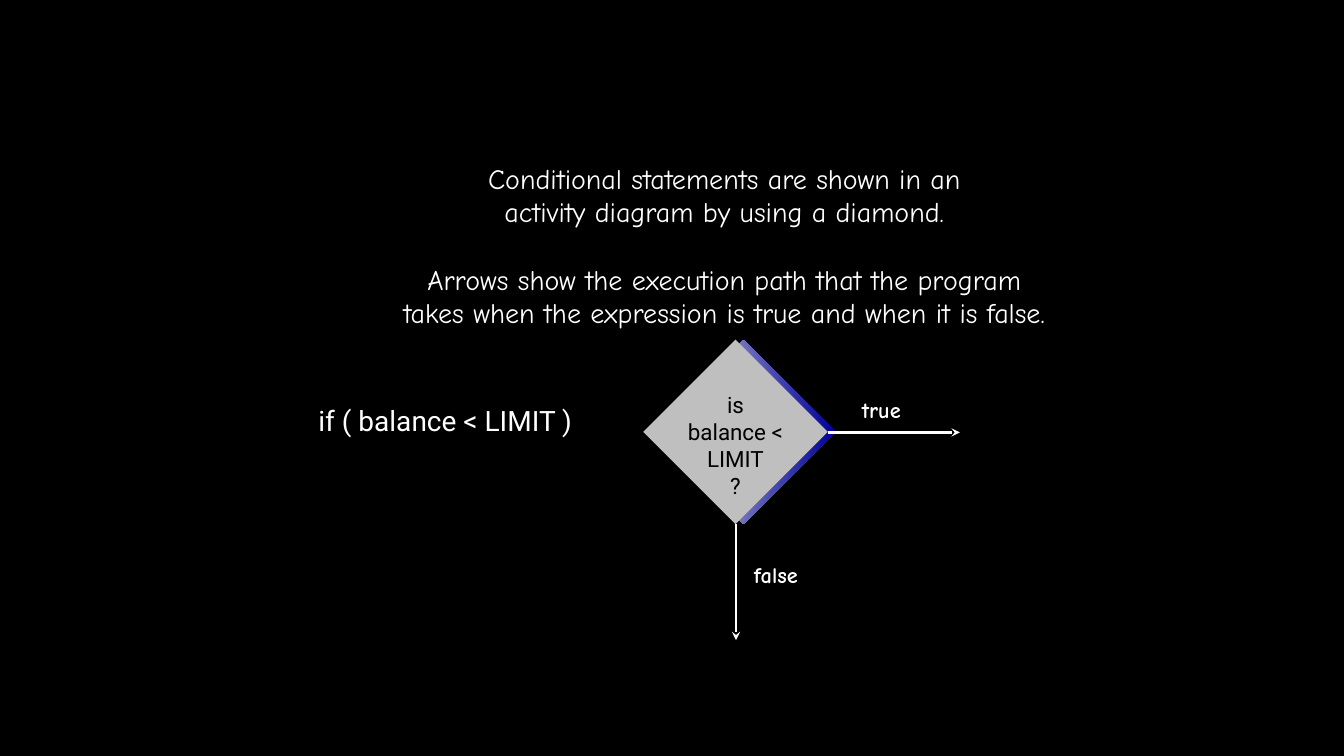
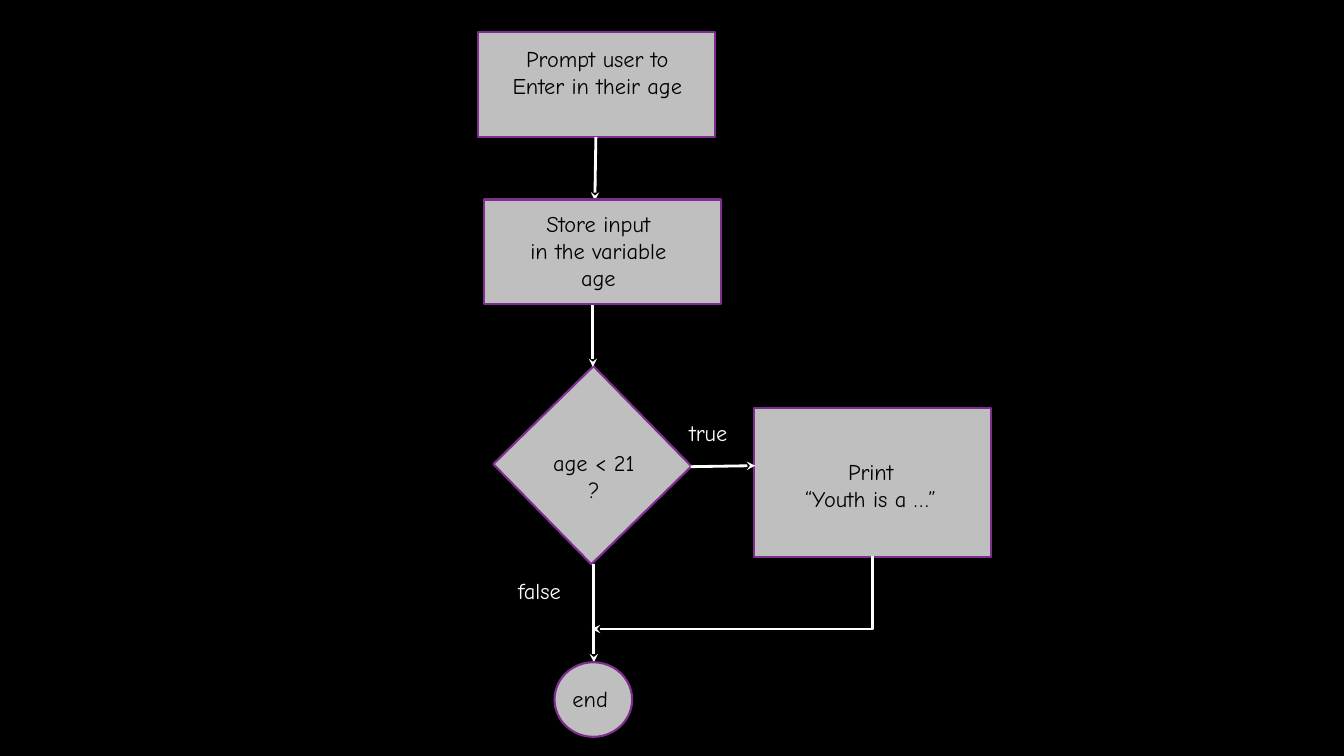
from lxml.etree import SubElement
from pptx import Presentation
from pptx.dml.color import RGBColor
from pptx.enum.shapes import MSO_CONNECTOR as Link, MSO_SHAPE as Preset
from pptx.enum.text import MSO_ANCHOR as Anchor, MSO_AUTO_SIZE as Fit, PP_ALIGN as Align
from pptx.oxml.ns import qn
from pptx.util import Pt

PX = 9144  # 100 px to the inch


def px(*lengths):
    return [length * PX for length in lengths]


def color(value):
    return RGBColor.from_string(value)


class FlowDeck:
    BLACK, WHITE, GRAY, PURPLE = "000000", "FFFFFF", "BFBFBF", "7F2E8F"
    SHADE = ("DDDDDD", "000099")
    HAND, PLAIN = "Comic Neue", "Roboto"

    def __init__(self, width, height):
        self.deck = Presentation()
        self.deck.slide_width, self.deck.slide_height = px(width, height)
        self.page = None

    def add_page(self):
        self.page = self.deck.slides.add_slide(self.deck.slide_layouts[6])
        fill = self.page.background.fill
        fill.solid()
        fill.fore_color.rgb = color(self.BLACK)

    def set_lines(self, frame, lines, size=16, font=HAND, ink=WHITE, bold=False,
                  align=Align.CENTER, gap_before=None):
        """Fill a frame; gap_before is the index of a line set one line lower."""
        frame.word_wrap = False
        for index, line in enumerate(lines):
            para = frame.add_paragraph() if index else frame.paragraphs[0]
            para.text = line
            para.alignment = align
            para.font.size = Pt(size)
            para.font.name = font
            para.font.bold = bold
            para.font.color.rgb = color(ink)
            if index == gap_before:
                para.space_before = Pt(size * 1.2)

    def text(self, left, top, width, height, *lines, **style):
        box = self.page.shapes.add_textbox(*px(left, top, width, height))
        box.text_frame.auto_size = Fit.SHAPE_TO_FIT_TEXT
        self.set_lines(box.text_frame, lines, **style)

    def label(self, left, top, width, height, line, **style):
        self.text(left, top, width, height, line, align=Align.LEFT, **style)

    def shape(self, preset, left, top, width, height, outline=PURPLE, rotation=0):
        shape = self.page.shapes.add_shape(preset, *px(left, top, width, height))
        shape.shadow.inherit = False
        shape.rotation = rotation
        shape.fill.solid()
        shape.fill.fore_color.rgb = color(self.GRAY)
        if outline:
            shape.line.color.rgb = color(outline)
            shape.line.width = Pt(1.5)
        else:
            shape.line.fill.background()
        return shape

    def shaded_diamond(self, left, top, size, depth, *lines):
        """Diamond with a gradient twin showing behind its right edges."""
        back = self.shape(Preset.DIAMOND, left + depth, top, size, size, outline=None)
        back.fill.gradient()
        back.fill.gradient_angle = 0
        for stop, value in zip(back.fill.gradient_stops, self.SHADE):
            stop.color.rgb = color(value)
        front = self.shape(Preset.DIAMOND, left, top, size, size, outline=None)
        frame = front.text_frame
        frame.vertical_anchor = Anchor.MIDDLE
        frame.margin_top = px(31)[0]
        self.set_lines(frame, lines, font=self.PLAIN, ink=self.BLACK)

    def arrow(self, x1, y1, x2, y2, link=Link.STRAIGHT):
        line = self.page.shapes.add_connector(link, *px(x1, y1, x2, y2))
        line.line.color.rgb = color(self.WHITE)
        line.line.width = Pt(2)
        properties = line.element.spPr
        SubElement(properties.find(qn("a:ln")), qn("a:tailEnd"), type="stealth")
        SubElement(properties, qn("a:effectLst"))
        return line

    def down_left_arrow(self, x1, y1, x2, y2):
        """One-bend arrow: a right-then-down elbow turned by 90 degrees."""
        across, down = x1 - x2, y2 - y1
        left = (x1 + x2 - down) // 2
        top = (y1 + y2 - across) // 2
        line = self.arrow(left, top, left + down, top + across, Link.ELBOW)
        properties = line.element.spPr
        properties.find(qn("a:xfrm")).set("rot", str(90 * 60000))
        properties.find(qn("a:prstGeom")).set("prst", "bentConnector2")


def diamond_slide(flow):
    flow.add_page()
    flow.text(349, 155, 739, 178,
              "Conditional statements are shown in an",
              "activity diagram by using a diamond.",
              "Arrows show the execution path that the program",
              "takes when the expression is true and when it is false.",
              size=20, gap_before=2)
    flow.label(306, 395, 289, 44, "if ( balance < LIMIT )", size=20, font=flow.PLAIN)
    flow.shaded_diamond(638, 337, 183, 8, "is", "balance <", "LIMIT", "?")
    flow.arrow(821, 429, 952, 429)
    flow.label(845, 388, 65, 37, "true", bold=True)
    flow.arrow(730, 520, 730, 635)
    flow.label(738, 552, 74, 37, "false", bold=True)


def age_slide(flow):
    flow.add_page()
    black = flow.BLACK
    flow.shape(Preset.RECTANGLE, 474, 32, 235, 104)
    flow.text(496, 40, 193, 91, "Prompt user to", "Enter in their age", ink=black)
    flow.shape(Preset.RECTANGLE, 518, 392, 139, 139, rotation=45.6)
    flow.text(538, 441, 102, 64, "age < 21", "?", ink=black)
    flow.arrow(591, 136, 590, 199)
    flow.shape(Preset.RECTANGLE, 748, 405, 235, 148)
    flow.text(754, 450, 219, 64, "Print", "“Youth is a …”", ink=black)
    flow.arrow(685, 463, 749, 462)
    flow.label(674, 411, 66, 37, "true")
    flow.arrow(588, 300, 588, 364)
    flow.label(504, 568, 72, 37, "false")
    flow.down_left_arrow(865, 552, 587, 624)
    flow.shape(Preset.RECTANGLE, 480, 198, 235, 104)
    flow.text(497, 204, 193, 91, "Store input", "in the variable", "age", ink=black)
    flow.arrow(589, 560, 589, 657)
    flow.shape(Preset.OVAL, 550, 657, 77, 74)
    flow.label(558, 675, 57, 37, "end", ink=black)


def main():
    flow = FlowDeck(1333, 750)
    diamond_slide(flow)
    age_slide(flow)
    flow.deck.save("out.pptx")


if __name__ == "__main__":
    main()
